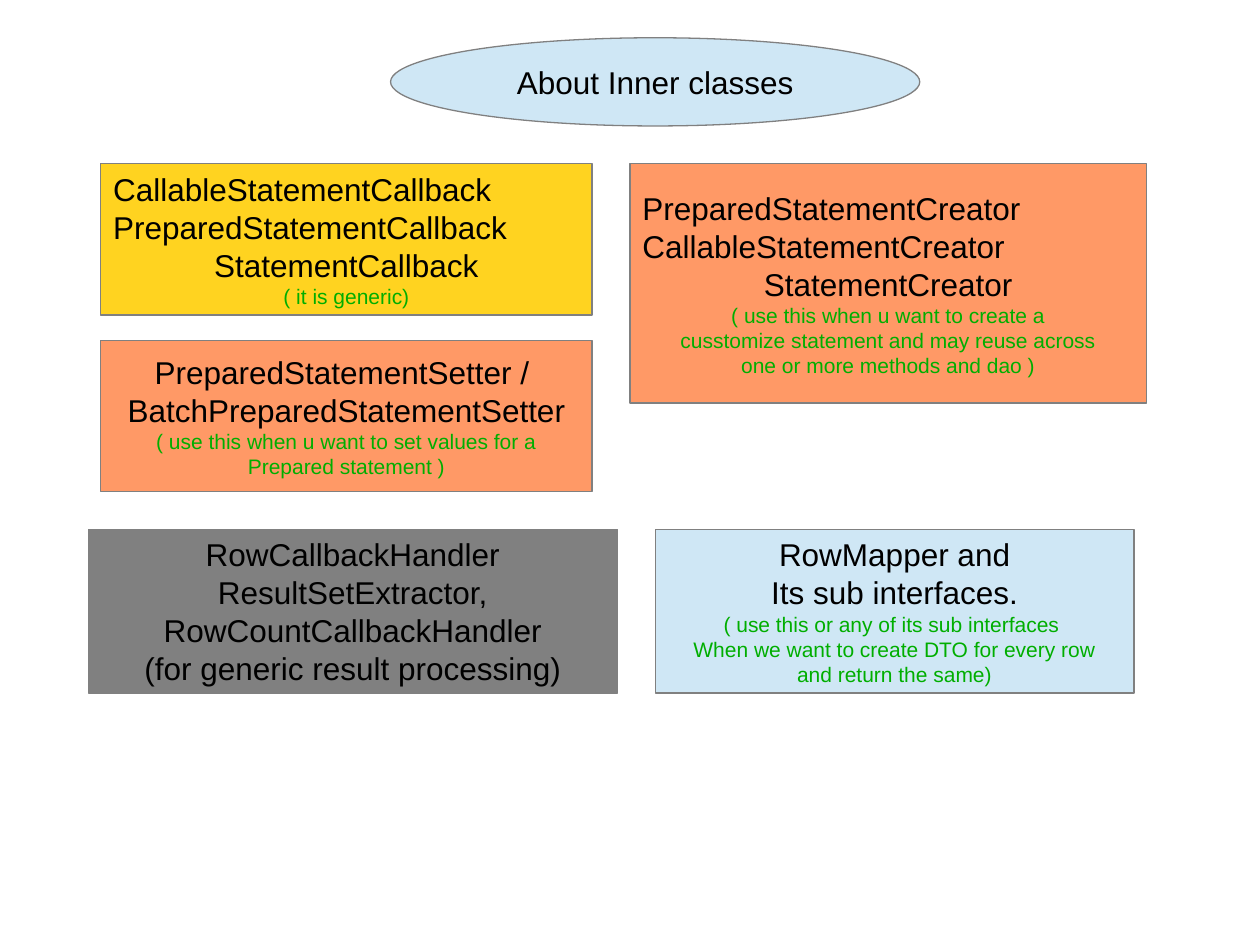
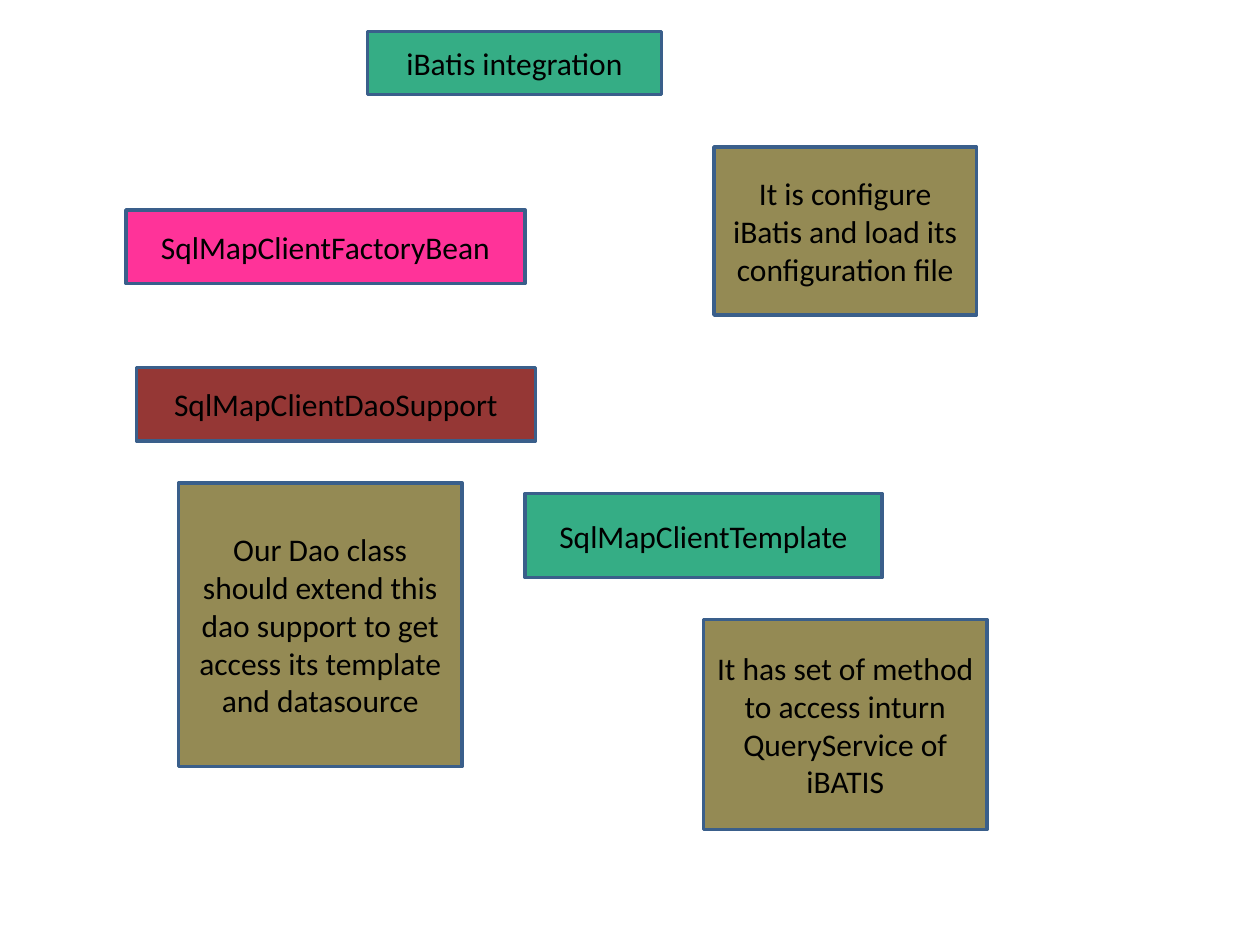
from dataclasses import dataclass

from pptx import Presentation
from pptx.dml.color import RGBColor
from pptx.enum.shapes import MSO_SHAPE as SHAPE
from pptx.enum.text import MSO_ANCHOR as ANCHOR, MSO_AUTO_SIZE as AUTO, PP_ALIGN as ALIGN
from pptx.presentation import Presentation as Deck
from pptx.shapes.autoshape import Shape
from pptx.slide import Slide
from pptx.util import Pt

BLACK = RGBColor(0x00, 0x00, 0x00)
NOTE_GREEN = RGBColor(0x00, 0xAE, 0x00)
PALE_BLUE = RGBColor(0xCF, 0xE7, 0xF5)
GREY = RGBColor(0x80, 0x80, 0x80)
ORANGE = RGBColor(0xFF, 0x99, 0x66)
YELLOW = RGBColor(0xFF, 0xD3, 0x20)
TEAL = RGBColor(0x35, 0xAD, 0x85)
PINK = RGBColor(0xFF, 0x33, 0x99)
MAROON = RGBColor(0x95, 0x37, 0x35)
OLIVE = RGBColor(0x94, 0x8A, 0x54)
NAVY = RGBColor(0x3A, 0x5F, 0x8B)

HEADING = {"size": Pt(18), "bold": False}
NOTE = {"size": Pt(12), "bold": False}
FRAME = {"word_wrap": True, "auto_size": AUTO.NONE, "vertical_anchor": ANCHOR.MIDDLE,
         "margin_left": Pt(7.2), "margin_right": Pt(7.2),
         "margin_top": Pt(3.6), "margin_bottom": Pt(3.6)}


@dataclass(frozen=True)
class Theme:
    """Font and outline shared by the boxes of one slide."""
    font: str
    line: RGBColor
    weight: float


@dataclass(frozen=True)
class Box:
    """A filled box: left-aligned lines, then centred headings, then notes."""
    left: float
    top: float
    width: float
    height: float
    fill: RGBColor
    heads: tuple[str, ...]
    notes: tuple[str, ...] = ()
    left_heads: int = 0


CLASSES_THEME = Theme("Arial", GREY, 0.75)
CLASSES_TITLE = Box(223.2, 21.6, 302.4, 50.4, PALE_BLUE, ("About Inner classes",))
CLASSES_BOXES = (
    Box(374.4, 302.4, 273.6, 93.6, PALE_BLUE,
        ("RowMapper and", "Its sub interfaces."),
        ("( use this or any of its sub interfaces ",
         "When we want to create DTO for every row", "and return the same)")),
    Box(50.4, 302.4, 302.4, 93.6, GREY,
        ("RowCallbackHandler", "ResultSetExtractor,", "RowCountCallbackHandler",
         "(for generic result processing)")),
    Box(57.6, 194.4, 280.8, 86.4, ORANGE,
        ("PreparedStatementSetter / ", "BatchPreparedStatementSetter"),
        ("( use this when u want to set values for a", "Prepared statement )")),
    Box(360, 93.6, 295.2, 136.8, ORANGE,
        ("PreparedStatementCreator", "CallableStatementCreator", "StatementCreator"),
        ("( use this when u want to create a",
         "cusstomize statement and may reuse across", "one or more methods and dao )"),
        left_heads=2),
    Box(57.6, 93.6, 280.8, 86.4, YELLOW,
        ("CallableStatementCallback", "PreparedStatementCallback", "StatementCallback"),
        ("( it is generic)",), left_heads=2),
)

IBATIS_THEME = Theme("Calibri", NAVY, 2)
IBATIS_TITLE = Box(210, 18, 168, 36, TEAL, ("iBatis integration",))
IBATIS_BOXES = (
    Box(72, 120, 228, 42, PINK, ("SqlMapClientFactoryBean",)),
    Box(78, 210, 228, 42, MAROON, ("SqlMapClientDaoSupport",)),
    Box(300, 282, 204, 48, TEAL, ("SqlMapClientTemplate",)),
    Box(102, 276, 162, 162, OLIVE,
        ("Our Dao class should extend this dao support to get access its template "
         "and datasource",)),
    Box(402, 354, 162, 120, OLIVE,
        ("It has set of method to access inturn QueryService of iBATIS",)),
    Box(408, 84, 150, 96, OLIVE,
        ("It is configure iBatis and load its configuration file",)),
)


def set_attrs(target: object, values: dict) -> None:
    """Set every attribute named in values."""
    for name, value in values.items():
        setattr(target, name, value)


def place(sp: Shape, box: Box) -> None:
    """Move and size a shape to match its box."""
    set_attrs(sp, {name: Pt(getattr(box, name)) for name in ("left", "top", "width", "height")})


def paint(sp: Shape, box: Box, theme: Theme) -> None:
    """Give a shape the box fill and the theme outline."""
    sp.shadow.inherit = False
    sp.fill.solid()
    sp.fill.fore_color.rgb = box.fill
    sp.line.color.rgb = theme.line
    sp.line.width = Pt(theme.weight)


def write(sp: Shape, box: Box, theme: Theme) -> None:
    """Write headings and notes, one paragraph each."""
    tf = sp.text_frame
    set_attrs(tf, FRAME)
    lines = [(text, HEADING, BLACK) for text in box.heads]
    lines += [(text, NOTE, NOTE_GREEN) for text in box.notes]
    for i, (text, style, color) in enumerate(lines):
        p = tf.add_paragraph() if i else tf.paragraphs[0]
        p.alignment = ALIGN.LEFT if i < box.left_heads else ALIGN.CENTER
        r = p.add_run()
        r.text = text
        set_attrs(r.font, style | {"name": theme.font})
        r.font.color.rgb = color


def add_panel(slide: Slide, box: Box, theme: Theme, kind: SHAPE = SHAPE.RECTANGLE) -> Shape:
    """Add a painted shape without text."""
    sp = slide.shapes.add_shape(kind, 0, 0, 0, 0)
    place(sp, box)
    paint(sp, box, theme)
    return sp


def add_slide(prs: Deck, theme: Theme, title: Box, boxes: tuple[Box, ...],
              oval_title: bool = False) -> None:
    """Build a slide from a title and its boxes."""
    slide = prs.slides.add_slide(prs.slide_layouts[5])
    sp = slide.shapes.title
    place(sp, title)
    write(sp, title, theme)
    if oval_title:
        oval = add_panel(slide, title, theme, SHAPE.OVAL)
        sp.element.addprevious(oval.element)
    else:
        paint(sp, title, theme)
    for box in boxes:
        write(add_panel(slide, box, theme), box, theme)


def main() -> None:
    """Build and save the presentation."""
    prs = Presentation()
    prs.slide_width, prs.slide_height = Pt(720), Pt(540)
    add_slide(prs, CLASSES_THEME, CLASSES_TITLE, CLASSES_BOXES, oval_title=True)
    add_slide(prs, IBATIS_THEME, IBATIS_TITLE, IBATIS_BOXES)
    prs.save("out.pptx")


if __name__ == "__main__":
    main()
